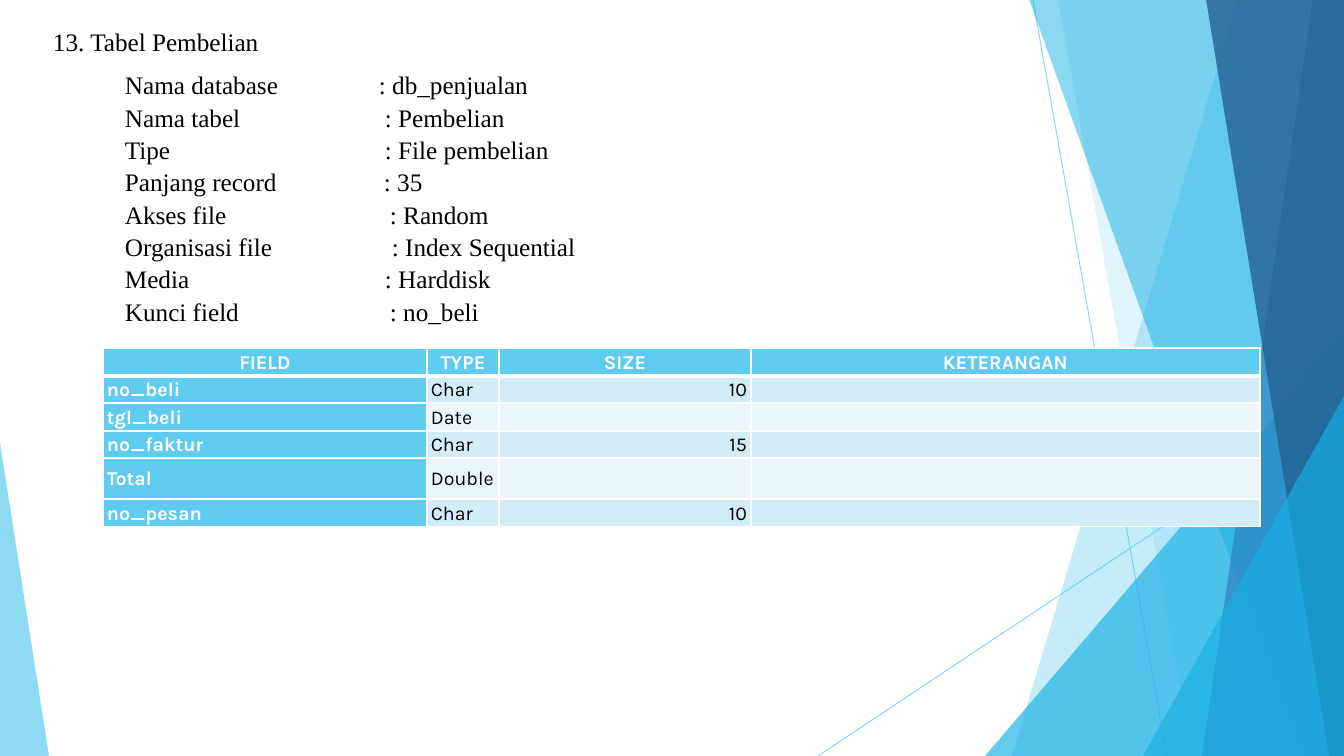
from lxml.etree import SubElement
from pptx import Presentation
from pptx.dml.color import RGBColor
from pptx.enum.shapes import MSO_CONNECTOR, MSO_SHAPE
from pptx.enum.text import MSO_ANCHOR, PP_ALIGN
from pptx.oxml import parse_xml
from pptx.oxml.ns import nsdecls, qn
from pptx.util import Emu, Pt

SCALE = 914400 / 100.8
WIDTH, HEIGHT = 1344, 756
THEME = {
    "sky": "5FCBEF", "cyan": "17B0E4", "blue": "2E83C3", "navy": "226292",
    "odd_row": "D2ECF9", "even_row": "EAF6FC", "white": "FFFFFF", "black": "000000",
    "body_font": "Times New Roman", "table_font": "Karla",
    "body_size": 18, "table_size": 14,
}


def px(length):
    return Emu(round(length * SCALE))


def paint(color_format, color, opacity=100):
    color_format.rgb = RGBColor.from_string(THEME[color])
    if opacity < 100:
        node = color_format._xFill.find(qn("a:srgbClr"))
        SubElement(node, qn("a:alpha"), val=str(opacity * 1000))


deck = Presentation()
deck.slide_width, deck.slide_height = px(WIDTH), px(HEIGHT)
page = deck.slides.add_slide(deck.slide_layouts[6])

for ends in [(1033, 0, 1167, HEIGHT), (WIDTH, 406, 818, HEIGHT)]:
    ray = page.shapes.add_connector(MSO_CONNECTOR.STRAIGHT, *map(px, ends))
    ray.line.width = Pt(0.75)
    ray.line.fill.solid()
    paint(ray.line.fill.fore_color, "sky", 70)
    SubElement(ray._element.spPr, qn("a:effectLst"))

facets = [
    ("band", (1238, 1012), "sky", 36),
    ("band", (1058, 1192), "sky", 20),
    ("right", (985, 336, 359, 420), "cyan", 66),
    ("band", (1029, 1301), "cyan", 50),
    ("band", (1313, 1202), "blue", 70),
    ("band", (1206, 1329), "navy", 80),
    ("right", (1143, 396, 201, 360), "cyan", 66),
    ("left", (0, 443, 49, 313), "sky", 70),
]
for kind, place, color, opacity in facets:
    if kind == "band":
        top, bottom = place
        outline = page.shapes.build_freeform(top, -1, SCALE)
        outline.add_line_segments([(WIDTH, -1), (WIDTH, HEIGHT), (bottom, HEIGHT)])
        facet = outline.convert_to_shape()
    else:
        facet = page.shapes.add_shape(MSO_SHAPE.ISOSCELES_TRIANGLE, *map(px, place))
        facet.adjustments[0] = 1 if kind == "right" else 0
    facet.shadow.inherit = False
    facet.line.fill.background()
    facet.fill.solid()
    paint(facet.fill.fore_color, color, opacity)

box = page.shapes.add_textbox(px(43), px(19), px(673), px(312))
box.text_frame.word_wrap = True
details = [
    ("Nama database", "db_penjualan", 379),
    ("Nama tabel", "Pembelian", 385),
    ("Tipe", "File pembelian", 385),
    ("Panjang record", "35", 384),
    ("Akses file", "Random", 390),
    ("Organisasi file", "Index Sequential", 392),
    ("Media", "Harddisk", 385),
    ("Kunci field", "no_beli", 390),
]
para = box.text_frame.paragraphs[0]
para.line_spacing, para.space_after = 1.07, Pt(8)
para.add_run().text = "13. Tabel Pembelian"
text_left, label_left = 53, 125
for label, value, colon in details:
    para = box.text_frame.add_paragraph()
    para.alignment = PP_ALIGN.JUSTIFY
    para.line_spacing = Pt(23.1)
    para.add_run().text = f"\t{label}\t: {value}"
    tabs = SubElement(para._p.get_or_add_pPr(), qn("a:tabLst"))
    for stop in (label_left, colon):
        SubElement(tabs, qn("a:tab"), pos=str(px(stop - text_left)), algn="l")
for para in box.text_frame.paragraphs:
    for span in para.runs:
        span.font.name = THEME["body_font"]
        span.font.size = Pt(THEME["body_size"])
        paint(span.font.color, "black")

rows = [
    ("FIELD", "TYPE", "SIZE", "KETERANGAN"),
    ("no_beli", "Char", "10", ""),
    ("tgl_beli", "Date", "", ""),
    ("no_faktur", "Char", "15", ""),
    ("Total", "Double", "", ""),
    ("no_pesan", "Char", "10", ""),
]
column_widths = [324, 72, 252, 509]
row_heights = [28, 27, 28, 27, 41, 28]
frame = page.shapes.add_table(len(rows), len(column_widths), px(103), px(348),
                              px(sum(column_widths)), px(sum(row_heights)))
fields = frame.table
fields.first_col = True
for column, width in zip(fields.columns, column_widths):
    column.width = px(width)
cell_format = {
    "margin_left": px(4), "margin_right": px(4), "margin_top": 0,
    "margin_bottom": 0, "vertical_anchor": MSO_ANCHOR.MIDDLE,
}
for r, values in enumerate(rows):
    fields.rows[r].height = px(row_heights[r])
    for c, value in enumerate(values):
        cell = fields.cell(r, c)
        for name, setting in cell_format.items():
            setattr(cell, name, setting)
        heading = r == 0 or c == 0
        cell.fill.solid()
        paint(cell.fill.fore_color, "sky" if heading else "odd_row" if r % 2 else "even_row")
        para = cell.text_frame.paragraphs[0]
        if value:
            para.line_spacing = 1.07
            para.alignment = PP_ALIGN.CENTER if r == 0 else PP_ALIGN.RIGHT if c == 2 else PP_ALIGN.LEFT
            span = para.add_run()
            span.text = value
            text_format = {"name": THEME["table_font"], "size": Pt(THEME["table_size"]), "bold": heading}
            for name, setting in text_format.items():
                setattr(span.font, name, setting)
            paint(span.font.color, "white" if heading else "black")
        else:
            SubElement(para._p, qn("a:endParaRPr"), sz=str(THEME["table_size"] * 100))
        for i, side in enumerate("LRTB"):
            thick = (side == "B" and r == 0) or (side == "T" and r == 1)
            border = parse_xml(
                f'<a:ln{side} {nsdecls("a")} w="{Pt(3 if thick else 1)}"><a:solidFill>'
                f'<a:srgbClr val="{THEME["white"]}"/></a:solidFill></a:ln{side}>')
            cell._tc.get_or_add_tcPr().insert(i, border)

deck.save("out.pptx")
